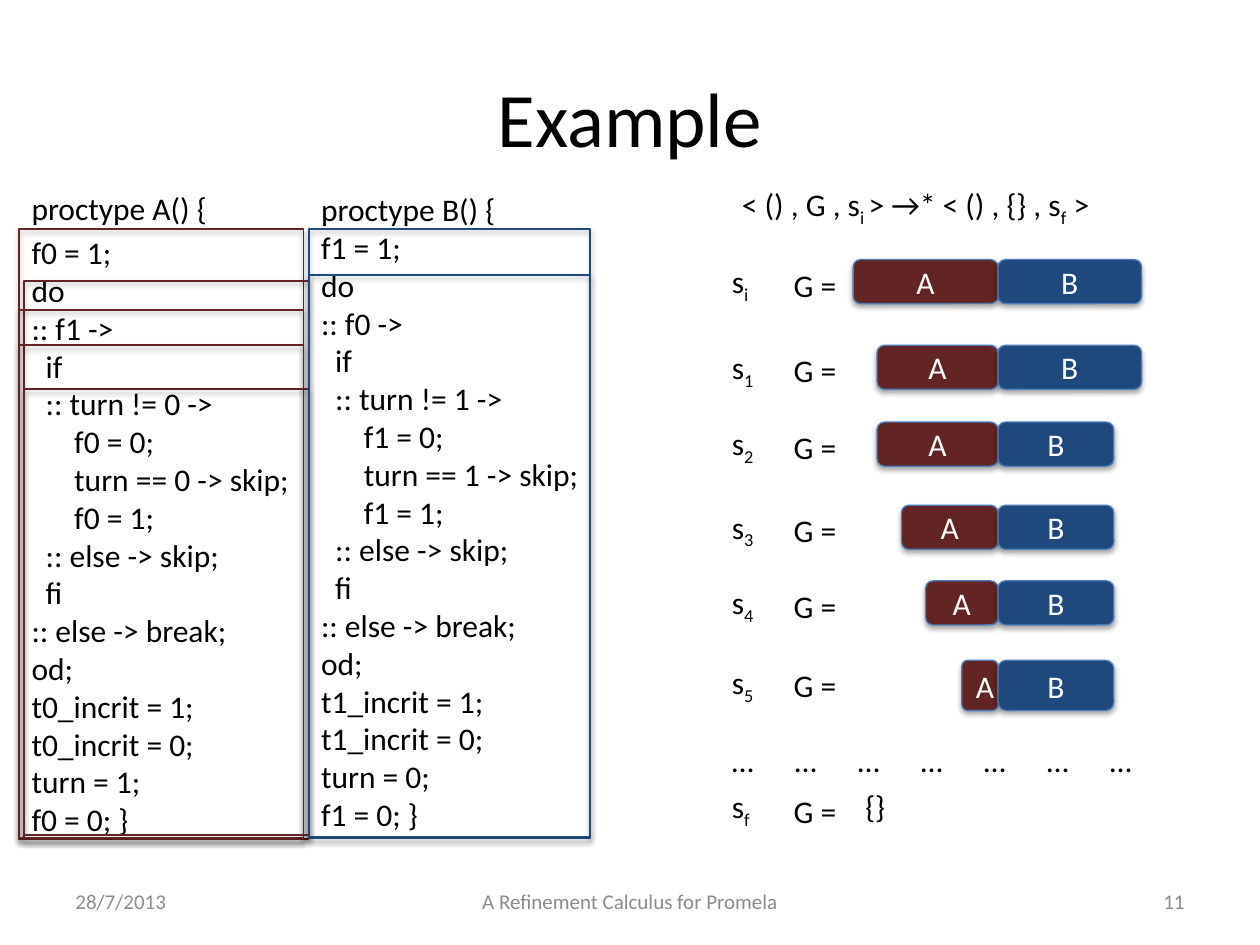
from lxml import etree
from pptx import Presentation
from pptx import util as u
from pptx.dml.color import RGBColor
from pptx.enum import shapes, text
from pptx.oxml import ns

BLACK = RGBColor(0, 0, 0)
WHITE = RGBColor(255, 255, 255)
GREY = RGBColor(0x8C, 0x8C, 0x8C)
RED = RGBColor(0x63, 0x25, 0x23)
BLUE = RGBColor(0x1F, 0x49, 0x7D)
EDGE = RGBColor(0x4B, 0x7E, 0xBC)

LEFT, CENTER, RIGHT = text.PP_ALIGN.LEFT, text.PP_ALIGN.CENTER, text.PP_ALIGN.RIGHT
TOP, MIDDLE = text.MSO_ANCHOR.TOP, text.MSO_ANCHOR.MIDDLE

STATE_X, QUEUE_X, SPLIT_X = 411.1, 446.4, 570.3
INDENTS = (0, 8.1, 24.4)


def write(frame, lines, size=18, color=BLACK, align=LEFT, anchor=TOP, gap_after_first=0):
    """Each line is (level, part, ...); every second part is a subscript."""
    frame.word_wrap = True
    frame.auto_size = text.MSO_AUTO_SIZE.NONE
    frame.vertical_anchor = anchor
    for number, (level, *parts) in enumerate(lines):
        paragraph = frame.add_paragraph() if number else frame.paragraphs[0]
        paragraph.alignment = align
        paragraph.space_before = u.Pt(gap_after_first if number == 1 else 0)
        properties = paragraph._p.get_or_add_pPr()
        properties.set("marL", str(u.Pt(INDENTS[level])))
        properties.set("indent", "0")
        etree.SubElement(properties, ns.qn("a:buNone"))
        for position, part in enumerate(parts):
            run = paragraph.add_run()
            run.text = part
            run.font.name = "Calibri"
            run.font.size = u.Pt(size)
            run.font.color.rgb = color
            if position % 2:
                run.font._element.set("baseline", "-25000")


def process(name, own, other):
    return [
        (0, f"proctype {name}() {{"),
        (0, f"f{own} = 1;"),
        (0, "do"),
        (0, f":: f{other} ->"),
        (1, "if"),
        (1, f":: turn != {own} ->"),
        (2, f"f{own} = 0;"),
        (2, f"turn == {own} -> skip;"),
        (2, f"f{own} = 1;"),
        (1, ":: else -> skip;"),
        (1, "fi"),
        (0, ":: else -> break;"),
        (0, "od;"),
        (0, f"t{own}_incrit = 1;"),
        (0, f"t{own}_incrit = 0;"),
        (0, f"turn = {other};"),
        (0, f"f{own} = 0; }}"),
    ]


class Board:
    def __init__(self, slide):
        self.slide = slide

    def placeholder(self, index, box, lines, **style):
        holder = self.slide.placeholders[index]
        holder.left, holder.top, holder.width, holder.height = map(u.Pt, box)
        write(holder.text_frame, lines, **style)

    def label(self, box, lines, **style):
        area = self.slide.shapes.add_textbox(*map(u.Pt, box))
        write(area.text_frame, lines, **style)

    def outline(self, kind, box, line, width):
        shape = self.slide.shapes.add_shape(kind, *map(u.Pt, box))
        shape.fill.background()
        shape.line.color.rgb = line
        shape.line.width = u.Pt(width)
        shape.shadow.inherit = False
        effects = shape._element.spPr.find(ns.qn("a:effectLst"))
        shadow = etree.SubElement(
            effects, ns.qn("a:outerShdw"), blurRad="40000", dist="23000",
            dir="5400000", rotWithShape="0")
        tint = etree.SubElement(shadow, ns.qn("a:srgbClr"), val="000000")
        etree.SubElement(tint, ns.qn("a:alpha"), val="35000")
        return shape

    def frame(self, box, color):
        self.outline(shapes.MSO_SHAPE.RECTANGLE, box, color, 1)

    def block(self, name, box, color):
        shape = self.outline(shapes.MSO_SHAPE.ROUNDED_RECTANGLE, box, EDGE, 0.75)
        shape.fill.solid()
        shape.fill.fore_color.rgb = color
        write(shape.text_frame, [(0, name)], color=WHITE, align=CENTER, anchor=MIDDLE)

    def state(self, subscript, state_top, queue_top):
        self.label((STATE_X, state_top, 28, 29), [(0, "s", subscript)])
        self.label((QUEUE_X, queue_top, 41, 29), [(0, "G =")])


def main():
    deck = Presentation()
    deck.slide_width, deck.slide_height = u.Pt(720), u.Pt(540)
    board = Board(deck.slides.add_slide(deck.slide_layouts[1]))

    board.placeholder(0, (36, 21.6, 648, 90), [(0, "Example")],
                      size=44, align=CENTER, anchor=MIDDLE)
    board.placeholder(1, (10.8, 104.4, 162.7, 384.5), process("A", 0, 1),
                      gap_after_first=3.6)
    board.label((176.4, 105.1, 182.2, 378), process("B", 1, 0))

    for left, width, footer, align in (
            (36, 168, "28/7/2013", LEFT),
            (246, 228, "A Refinement Calculus for Promela", CENTER),
            (516, 168, "11", RIGHT)):
        board.label((left, 500.5, width, 28.8), [(0, footer)],
                    size=12, color=GREY, align=align, anchor=MIDDLE)

    board.label((416.9, 102.2, 220.3, 29),
                [(0, "< () , G , s", "i ", "> →* < () , {} , s", "f", " >")])

    for subscript, top, a_width, b_width, height in (
            ("i", 148.3, 82.8, 82.1, 25.2),
            ("1", 197.3, 69.1, 82.1, 25.2),
            ("2", 241.2, 69.1, 66.2, 25.2),
            ("3", 288.7, 55.2, 66.2, 25.2),
            ("4", 331.9, 41.4, 66.2, 25.2),
            ("5", 377.3, 20.7, 66.2, 28.8)):
        board.block("A", (SPLIT_X - a_width, top, a_width, height), RED)
        board.block("B", (SPLIT_X, top, b_width, height), BLUE)
        board.state(subscript, top - 2.2, top)

    board.label((STATE_X, 419.8, 248.4, 29), [(0, "\t".join("…" * 7))])
    board.state("f", 446.4, 449.3)
    board.label((487.4, 446.4, 28, 29), [(0, "{}")])

    for left, top, height in (
            (10.8, 131, 348.5), (13.7, 160.6, 319), (10.8, 177.1, 302.4),
            (10.8, 197.3, 281.5), (13.7, 222.5, 254.9)):
        board.frame((left, top, 162.7, height), RED)
    for top, height in ((131, 347.8), (157, 321.1)):
        board.frame((176.4, top, 160.6, height), BLUE)

    deck.save("out.pptx")


if __name__ == "__main__":
    main()
